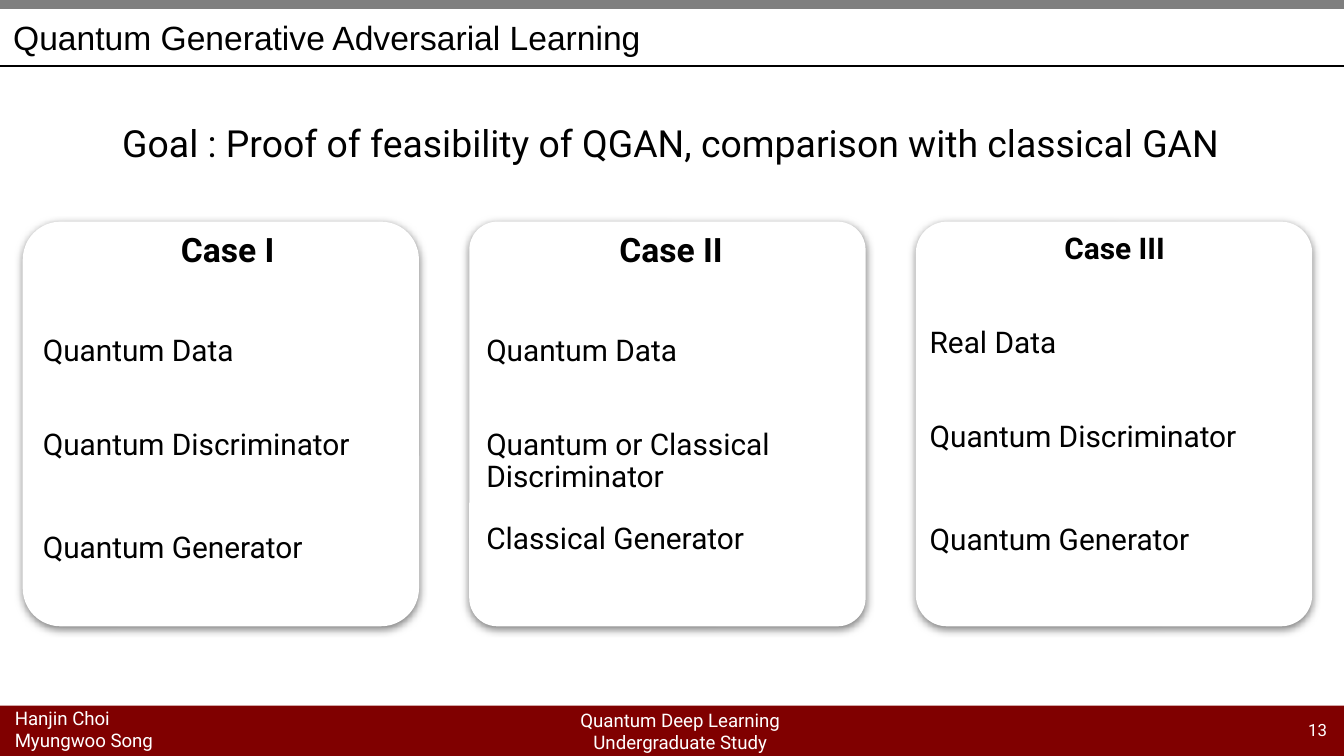
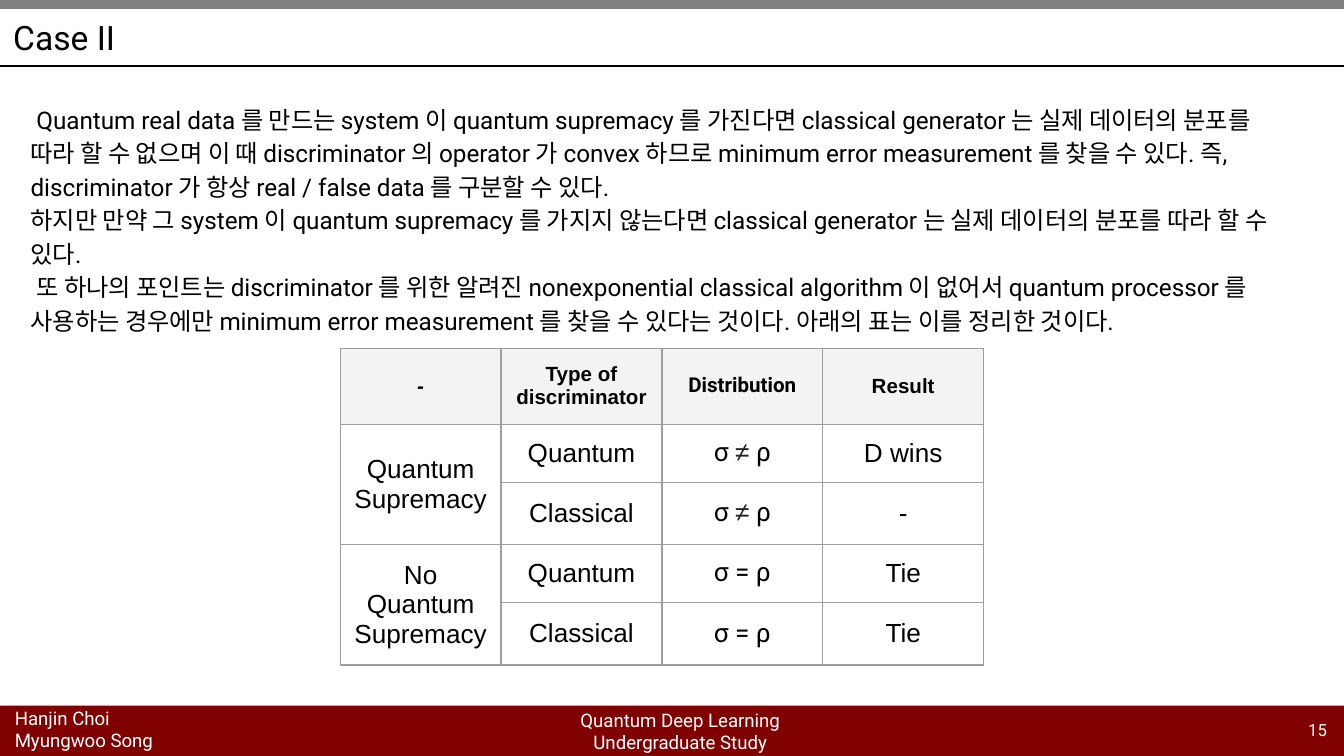
from lxml import etree
from pptx import Presentation
from pptx.dml.color import RGBColor
from pptx.enum.shapes import MSO_CONNECTOR, MSO_SHAPE
from pptx.enum.text import MSO_ANCHOR, MSO_AUTO_SIZE, PP_ALIGN
from pptx.oxml.ns import qn
from pptx.util import Cm, Pt

RECTANGLE, ROUNDED = MSO_SHAPE.RECTANGLE, MSO_SHAPE.ROUNDED_RECTANGLE
STRAIGHT = MSO_CONNECTOR.STRAIGHT
LEFT, CENTER, RIGHT = PP_ALIGN.LEFT, PP_ALIGN.CENTER, PP_ALIGN.RIGHT
TOP, MIDDLE = MSO_ANCHOR.TOP, MSO_ANCHOR.MIDDLE
NO_FIT = MSO_AUTO_SIZE.NONE

COMPARISON_LAYOUT, TITLE_ONLY_LAYOUT = 4, 5
WIDTH, HEIGHT = 25.4, 14.29
SANS, ROBOTO = "Arial", "Roboto"
COLORS = {
    "maroon": "800000",
    "gray": "7F7F7F",
    "black": "000000",
    "white": "FFFFFF",
    "symbol": "202124",
    "border": "9E9E9E",
    "header": "F3F3F3",
}

# Case heading, heading size, list of (text, space before in points)
CASES = [
    ("Case I", 18, [("Quantum Data", 35), ("Quantum Discriminator", 33),
                    ("Quantum Generator", 38)]),
    ("Case II", 18, [("Quantum Data", 35), ("Quantum or Classical Discriminator", 33),
                     ("Classical Generator", 16)]),
    ("Case III", 16, [("Real Data", 33), ("Quantum Discriminator", 33),
                      ("Quantum Generator", 38)]),
]

# Paragraph text and whether its first line is indented
EXPLANATION = [
    ("Quantum real data 를 만드는 system 이 quantum supremacy 를 가진다면 classical generator 는 "
     "실제 데이터의 분포를 따라 할 수 없으며 이 때 discriminator 의 operator 가 convex 하므로 "
     "minimum error measurement 를 찾을 수 있다. 즉, discriminator 가 항상 real / false data 를 "
     "구분할 수 있다.", True),
    ("하지만 만약 그 system 이 quantum supremacy 를 가지지 않는다면 classical generator 는 "
     "실제 데이터의 분포를 따라 할 수 있다.", False),
    ("또 하나의 포인트는 discriminator 를 위한 알려진 nonexponential classical algorithm 이 없어서 "
     "quantum processor 를 사용하는 경우에만 minimum error measurement 를 찾을 수 있다는 것이다. "
     "아래의 표는 이를 정리한 것이다.", True),
]

RESULTS = [
    ["-", "Type of discriminator", "Distribution", "Result"],
    ["Quantum Supremacy", "Quantum", "σ ≠ ρ", "D wins"],
    ["", "Classical", "σ ≠ ρ", "-"],
    ["No Quantum Supremacy", "Quantum", "σ = ρ", "Tie"],
    ["", "Classical", "σ = ρ", "Tie"],
]
ROW_HEIGHTS = [1.44, 1.1, 1.17, 1.1, 1.18]
COLUMN_WIDTH = 3.04
DISTRIBUTION_COLUMN = 2


def color(name):
    return RGBColor.from_string(COLORS[name])


# Text

def add_span(para, text, size, font=ROBOTO, tint="black", bold=False):
    span = para.add_run()
    span.text = text
    span.font.size = Pt(size)
    span.font.name = font
    span.font.bold = bold
    span.font.color.rgb = color(tint)


def next_para(frame, align=LEFT, spacing=1.0, before=0):
    first = frame.paragraphs[0]
    para = frame.add_paragraph() if first.runs else first
    para.alignment = align
    para.line_spacing = spacing
    para.space_before = Pt(before)
    return para


def set_frame(frame, anchor=TOP, vertical_inset=0.13):
    frame.word_wrap = True
    frame.auto_size = NO_FIT
    frame.vertical_anchor = anchor
    frame.margin_left = frame.margin_right = Cm(0.25)
    frame.margin_top = frame.margin_bottom = Cm(vertical_inset)


def set_indent(para, first_line):
    properties = para._p.get_or_add_pPr()
    properties.set("marL", "0")
    properties.set("indent", str(Cm(first_line)))


def place(shape, left, top, width, height):
    shape.left, shape.top = Cm(left), Cm(top)
    shape.width, shape.height = Cm(width), Cm(height)


def add_box(page, left, top, width, height, anchor=TOP, vertical_inset=0.13):
    box = page.shapes.add_textbox(Cm(left), Cm(top), Cm(width), Cm(height))
    set_frame(box.text_frame, anchor, vertical_inset)
    return box


def set_title(page, text, font=ROBOTO):
    title = page.shapes.title
    place(title, 0, 0.15, 22.23, 1.1)
    set_frame(title.text_frame, MIDDLE)
    add_span(next_para(title.text_frame), text, 18, font)


def add_page_number(page, number):
    box = add_box(page, 19.61, 13.41, 5.72, 0.76, MIDDLE)
    add_span(next_para(box.text_frame, RIGHT), number, 9, tint="white")


# Shapes

def add_band(page, top, height, tint):
    band = page.shapes.add_shape(RECTANGLE, 0, Cm(top), Cm(WIDTH), Cm(height))
    band.shadow.inherit = False
    band.fill.solid()
    band.fill.fore_color.rgb = color(tint)
    band.line.fill.background()
    return band


def add_rule(page, top):
    rule = page.shapes.add_connector(STRAIGHT, 0, Cm(top), Cm(WIDTH), Cm(top))
    rule.line.color.rgb = color("black")
    rule.line.width = Pt(0.75)
    etree.SubElement(rule._element.spPr, qn("a:effectLst"))
    return rule


def add_footer_text(page, left, width, top, lines, align):
    box = add_box(page, left, top, width, 1.12)
    for line in lines:
        add_span(next_para(box.text_frame, align), line, 10, tint="white")
    return box


def add_frame_to_master(deck, page):
    """Draw the shared bands, rule and footer, then hand them to the master."""
    top_band = add_band(page, 0, 0.15, "gray")
    top_band.line.color.rgb = color("gray")
    top_band.line.width = Pt(1)
    parts = [
        add_band(page, 13.34, 0.95, "maroon"),
        top_band,
        add_rule(page, 1.25),
        add_footer_text(page, 0.03, 4.85, 13.23, ["Hanjin Choi", "Myungwoo Song"], LEFT),
        add_footer_text(page, 10.06, 5.59, 13.26,
                        ["Quantum Deep Learning Undergraduate Study"], CENTER),
    ]
    for part in parts:
        deck.slide_master.shapes._spTree.append(part._element)


def add_card(page, left, rounding):
    card = page.shapes.add_shape(ROUNDED, Cm(left), Cm(4.19), Cm(7.49), Cm(7.65))
    card.adjustments[0] = rounding
    card.fill.solid()
    card.fill.fore_color.rgb = color("white")
    card.line.fill.background()
    card.shadow.inherit = False
    shadow = etree.SubElement(
        card._element.spPr.find(qn("a:effectLst")), qn("a:outerShdw"),
        blurRad=str(Pt(4.5)), dist=str(Pt(1.5)), dir="5400000", algn="bl", rotWithShape="0")
    tint = etree.SubElement(shadow, qn("a:srgbClr"), val=COLORS["black"])
    etree.SubElement(tint, qn("a:alpha"), val="50000")
    # Cards lie behind the placeholders
    page.shapes._spTree.insert(2, card._element)


def fill_case(body, left, heading, heading_size, items):
    place(body, left, 4.29, 7.49, 6.63)
    frame = body.text_frame
    set_frame(frame)
    lines = [(heading, heading_size, CENTER, 0, True)]
    lines += [(text, 16, LEFT, before, False) for text, before in items]
    for text, size, align, before, bold in lines:
        para = next_para(frame, align, 0.9, before)
        set_indent(para, 0)
        etree.SubElement(para._p.get_or_add_pPr(), qn("a:buNone"))
        add_span(para, text, size, bold=bold)


# Table

def set_borders(cell):
    properties = cell._tc.get_or_add_tcPr()
    for position, side in enumerate(("a:lnL", "a:lnR", "a:lnT", "a:lnB")):
        line = etree.Element(qn(side), w=str(Pt(0.75)))
        fill = etree.SubElement(line, qn("a:solidFill"))
        etree.SubElement(fill, qn("a:srgbClr"), val=COLORS["border"])
        properties.insert(position, line)


def fill_cell(cell, text, is_header, is_distribution):
    cell.vertical_anchor = MIDDLE
    cell.margin_left = cell.margin_right = Cm(0.25)
    cell.margin_top = cell.margin_bottom = Cm(0.25)
    if is_header:
        cell.fill.solid()
        cell.fill.fore_color.rgb = color("header")
    else:
        cell.fill.background()
    set_borders(cell)
    if not text:
        return
    size = 11 if is_header else 14
    para = next_para(cell.text_frame, CENTER, 0.9 if is_distribution else 1.0)
    before, symbol, after = text.partition("≠")
    add_span(para, before, size, ROBOTO if is_distribution else SANS, bold=is_header)
    if symbol:
        add_span(para, symbol, size, SANS, "symbol")
        add_span(para, after, size)


def add_results_table(page):
    columns = len(RESULTS[0])
    table = page.shapes.add_table(
        len(RESULTS), columns, Cm(6.43), Cm(6.58),
        Cm(COLUMN_WIDTH * columns), Cm(sum(ROW_HEIGHTS))).table
    table.first_row = table.horz_banding = False
    for column in table.columns:
        column.width = Cm(COLUMN_WIDTH)
    for row, height in zip(table.rows, ROW_HEIGHTS):
        row.height = Cm(height)
    for top in (1, 3):
        table.cell(top, 0).merge(table.cell(top + 1, 0))
    for r, texts in enumerate(RESULTS):
        for c, text in enumerate(texts):
            fill_cell(table.cell(r, c), text, r == 0, c == DISTRIBUTION_COLUMN)


# Slides

def build_overview(page):
    set_title(page, "Quantum Generative Adversarial Learning", SANS)
    goal = add_box(page, 0.43, 2.03, 24.51, 1.37, vertical_inset=0.25)
    add_span(next_para(goal.text_frame, CENTER),
             "Goal : Proof of feasibility of QGAN, comparison with classical GAN", 20)
    bodies = [shape for shape in page.placeholders if shape.placeholder_format.idx > 0]
    for i, (body, case) in enumerate(zip(bodies, CASES)):
        fill_case(body, 0.56 + 8.38 * i, *case)
    for spare in bodies[len(CASES):]:
        spare._element.getparent().remove(spare._element)
    for i, rounding in enumerate((0.096, 0.071, 0.079)):
        add_card(page, 0.43 + 8.44 * i, rounding)
    add_page_number(page, "13")


def build_case_two(page):
    set_title(page, "Case II")
    box = add_box(page, 0.33, 1.65, 24.41, 4.9, vertical_inset=0.25)
    for text, indented in EXPLANATION:
        para = next_para(box.text_frame, spacing=1.15)
        set_indent(para, 0.11 if indented else 0)
        add_span(para, text, 13)
    add_results_table(page)
    add_page_number(page, "15")


def main():
    deck = Presentation()
    deck.slide_width, deck.slide_height = Cm(WIDTH), Cm(HEIGHT)
    overview = deck.slides.add_slide(deck.slide_layouts[COMPARISON_LAYOUT])
    case_two = deck.slides.add_slide(deck.slide_layouts[TITLE_ONLY_LAYOUT])
    add_frame_to_master(deck, overview)
    build_overview(overview)
    build_case_two(case_two)
    deck.save("out.pptx")


if __name__ == "__main__":
    main()
